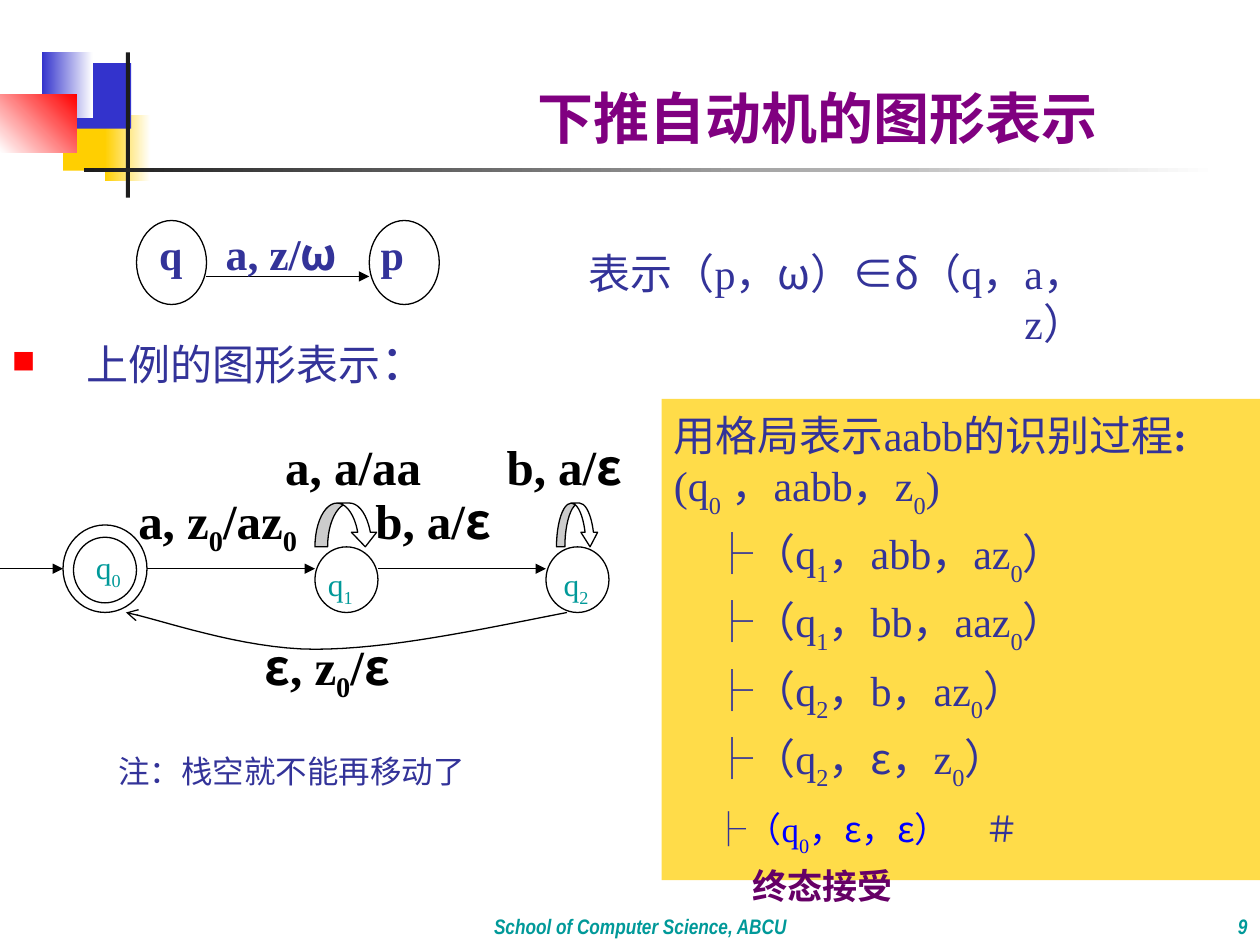
from dataclasses import dataclass
from itertools import groupby

from lxml import etree
from pptx import Presentation
from pptx.dml.color import RGBColor
from pptx.enum.shapes import MSO_CONNECTOR, MSO_SHAPE
from pptx.enum.text import MSO_ANCHOR, PP_ALIGN
from pptx.oxml.ns import qn
from pptx.util import Pt

RECT, OVAL, LOOP = MSO_SHAPE.RECTANGLE, MSO_SHAPE.OVAL, MSO_SHAPE.CURVED_DOWN_ARROW
LEFT, CENTER, RIGHT = PP_ALIGN.LEFT, PP_ALIGN.CENTER, PP_ALIGN.RIGHT
TOP, BOTTOM = MSO_ANCHOR.TOP, MSO_ANCHOR.BOTTOM
TIMES, NOTO, NARROW = "Times New Roman", "Noto Sans CJK SC", "Arial Narrow"
INDIGO, TEAL, BLACK, WHITE = "333399", "009999", "000000", "FFFFFF"
GOLD, BLUE, RED, DARK = "FFCF01", "3333CC", "FF0000", "1C1C1C"


@dataclass
class Span:
    text: str
    size: float = 24
    color: str = INDIGO
    bold: bool = False
    latin: str = TIMES
    italic: bool = False
    drop: int = -25


@dataclass
class Label:
    left: float
    top: float
    width: float
    height: float
    spans: list[Span]
    align: PP_ALIGN = LEFT
    anchor: MSO_ANCHOR = TOP


@dataclass
class Block:
    left: float
    top: float
    width: float
    height: float
    colors: tuple[str, ...]
    angle: float = 0


@dataclass
class Outline:
    kind: MSO_SHAPE
    left: float
    top: float
    width: float
    height: float
    adjustments: tuple[float, ...] = ()


@dataclass
class Row:
    spans: list[Span]
    indent: float = 21.5
    before: float = 5
    pitch: float = 0


def rgb(value: str) -> RGBColor:
    return RGBColor.from_string(value)


def write_run(paragraph, span: Span, text: str, font_name: str, lowered: bool) -> None:
    run = paragraph.add_run()
    run.text = text
    font = run.font
    font.name, font.size = font_name, Pt(span.size)
    font.bold, font.italic = span.bold, span.italic
    font.color.rgb = rgb(span.color)
    properties = run._r.get_or_add_rPr()
    properties.find(qn("a:latin")).addnext(etree.Element(qn("a:ea"), typeface=font_name))
    if lowered:
        properties.set("baseline", str(span.drop * 1000))


def write_span(paragraph, span: Span) -> None:
    for index, part in enumerate(span.text.split("_")):
        if index:
            write_run(paragraph, span, part[0], span.latin, True)
            part = part[1:]
        for plain, letters in groupby(part, key=str.isascii):
            write_run(paragraph, span, "".join(letters), span.latin if plain else NOTO, False)


def add_label(slide, label: Label):
    frame = slide.shapes.add_textbox(
        Pt(label.left), Pt(label.top), Pt(label.width), Pt(label.height)).text_frame
    frame.word_wrap = True
    frame.vertical_anchor = label.anchor
    frame.margin_left = frame.margin_right = frame.margin_top = frame.margin_bottom = 0
    paragraph = frame.paragraphs[0]
    paragraph.alignment = label.align
    for span in label.spans:
        write_span(paragraph, span)
    return paragraph


def add_block(slide, block: Block):
    shape = slide.shapes.add_shape(
        RECT, Pt(block.left), Pt(block.top), Pt(block.width), Pt(block.height))
    shape.shadow.inherit = False
    shape.line.fill.background()
    if len(block.colors) == 1:
        shape.fill.solid()
        shape.fill.fore_color.rgb = rgb(block.colors[0])
    else:
        shape.fill.gradient()
        shape.fill.gradient_angle = block.angle
        for stop, color, position in zip(shape.fill.gradient_stops, block.colors, (0, 1)):
            stop.color.rgb = rgb(color)
            stop.position = position
    return shape


def add_outline(slide, outline: Outline) -> None:
    shape = slide.shapes.add_shape(
        outline.kind, Pt(outline.left), Pt(outline.top), Pt(outline.width), Pt(outline.height))
    shape.shadow.inherit = False
    shape.fill.solid()
    shape.fill.fore_color.rgb = rgb(WHITE)
    style_line(shape.line)
    for index, value in enumerate(outline.adjustments):
        shape.adjustments[index] = value


def style_line(line, arrowhead: str = "") -> None:
    line.color.rgb = rgb(BLACK)
    line.width = Pt(0.75)
    if arrowhead:
        etree.SubElement(line._get_or_add_ln(), qn("a:tailEnd"), type=arrowhead)


def add_arrow(slide, start: float, end: float, y: float) -> None:
    arrow = slide.shapes.add_connector(MSO_CONNECTOR.STRAIGHT, Pt(start), Pt(y), Pt(end), Pt(y))
    style_line(arrow.line, "triangle")
    etree.SubElement(arrow._element.spPr, qn("a:effectLst"))


def bezier(points, t: float) -> tuple[int, int]:
    weights = ((1 - t) ** 3, 3 * t * (1 - t) ** 2, 3 * t * t * (1 - t), t ** 3)
    return tuple(Pt(sum(w * p[axis] for w, p in zip(weights, points))) for axis in (0, 1))


def add_return_curve(slide) -> None:
    curves = [((324, 350), (273, 360), (222, 371), (180, 371)),
              ((180, 371), (138, 371), (90, 353.5), (72, 350))]
    steps = 16
    points = [bezier(curve, step / steps) for curve in curves for step in range(1, steps + 1)]
    builder = slide.shapes.build_freeform(*bezier(curves[0], 0))
    builder.add_line_segments(points, close=False)
    curve = builder.convert_to_shape()
    curve.shadow.inherit = False
    curve.fill.background()
    style_line(curve.line, "arrow")


def edge(text: str) -> list[Span]:
    return [Span(text, 28, BLACK, True)]


def state(text: str) -> list[Span]:
    return [Span(text, 18, TEAL)]


def footer(text: str) -> list[Span]:
    return [Span(text, 12, TEAL, True, NARROW, True)]


BLOCKS = [
    Block(36, 60, 34.5, 37.5, (GOLD,)), Block(60, 66, 26, 37.5, (GOLD, WHITE)),
    Block(42, 36, 33, 37.5, (BLUE,)), Block(24, 30, 29, 37.5, (BLUE, WHITE)),
    Block(0, 54, 44, 33, (WHITE, RED), 45),
    Block(72, 30, 2.2, 83, (DARK,)), Block(48, 96, 648, 2.2, (DARK, WHITE)),
]
OUTLINES = [
    *[Outline(OVAL, left, 126, 40, 48) for left in (78, 211)],
    Outline(OVAL, 36, 300, 48, 50),
    Outline(OVAL, 42, 307, 36, 37.5),
    *[Outline(OVAL, left, 312.5, 36, 37.5) for left in (180, 312)],
    Outline(LOOP, 180, 287.5, 36, 25, (0.289, 0.578, 0.333)),
    Outline(LOOP, 318, 287.5, 24, 25, (0.2, 0.4, 0.346)),
]
ARROWS = [(118, 211, 158), (0, 36, 325), (84, 180, 325), (216, 312, 325)]
LABELS = [
    Label(600, 504, 112.8, 32.4, footer("9"), RIGHT, BOTTOM),
    Label(114, 504, 504, 32.4, footer("School of Computer Science, ABCU"), CENTER, BOTTOM),
    Label(91, 130.7, 20, 30, [Span("q", bold=True)]),
    Label(129, 129.6, 80, 36, [Span("a, z/ω", 25, bold=True)]),
    Label(217.5, 130.7, 20, 30, [Span("p", bold=True)]),
    Label(305, 141.3, 315, 70, [Span("表示（p，ω）∈δ（q，a，z）")], RIGHT),
    Label(67.5, 430, 215, 27, [Span("注：栈空就不能再移动了", 18)]),
    Label(79, 280.3, 110, 36, edge("a, z_0/az_0")),
    Label(214.5, 280.3, 80, 42, edge("b, a/ε")),
    Label(163, 249.3, 100, 36, edge("a, a/aa")),
    Label(289.5, 249.3, 80, 42, edge("b, a/ε")),
    Label(151, 363.8, 100, 42, edge("ε, z_0/ε")),
    Label(39, 313.2, 30, 22, state("q_0"), RIGHT),
    Label(171.6, 323, 30, 22, state("q_1"), RIGHT),
    Label(306.3, 323, 30, 22, state("q_2"), RIGHT),
]
STEPS = ["├（q_1，abb，az_0）", "├（q_1，bb，aaz_0）", "├（q_2，b，az_0）", "├（q_2，ε，z_0）"]
ROWS = [
    Row([Span("用格局表示aabb的识别过程"), Span(":", bold=True)], 0, 0, 31),
    Row([Span("(q_0 ，aabb，z_0)", drop=-30)], 0, 5, 29),
    *[Row([Span(step, drop=-30)]) for step in STEPS],
    Row([Span("├", 20), Span("（q_0，ε，ε）", 20, "0000FF", drop=-30), Span("　＃", 20)], before=9),
    Row([Span("终态接受", 20, "660066", True)], 45, 4),
]


def add_heading(slide) -> None:
    heading = add_label(slide, Label(7.2, 189.4, 574, 42, [
        Span("上例的图形表示"), Span("：", 28)]))
    properties = heading._p.get_or_add_pPr()
    properties.set("marL", str(Pt(42)))
    properties.set("indent", str(-Pt(42)))
    color = etree.SubElement(properties, qn("a:buClr"))
    etree.SubElement(color, qn("a:srgbClr"), val=RED)
    etree.SubElement(properties, qn("a:buSzPct"), val="55000")
    etree.SubElement(properties, qn("a:buFont"), typeface=NOTO)
    etree.SubElement(properties, qn("a:buChar"), char="■")


def add_derivation(slide) -> None:
    frame = add_block(slide, Block(378, 228, 342, 275, ("FFDC49",))).text_frame
    frame.word_wrap = True
    frame.vertical_anchor = TOP
    for index, row in enumerate(ROWS):
        paragraph = frame.add_paragraph() if index else frame.paragraphs[0]
        paragraph.alignment = LEFT
        paragraph.space_before = Pt(row.before)
        if row.pitch:
            paragraph.line_spacing = Pt(row.pitch)
        paragraph._p.get_or_add_pPr().set("marL", str(Pt(row.indent)))
        for span in row.spans:
            write_span(paragraph, span)


def add_title(slide) -> None:
    title = slide.shapes.title
    title.left, title.top, title.width, title.height = Pt(300), Pt(24), Pt(392), Pt(66)
    title.text_frame.vertical_anchor = BOTTOM
    paragraph = title.text_frame.paragraphs[0]
    paragraph.alignment = LEFT
    write_span(paragraph, Span("下推自动机的图形表示", 32, "800080", True))


def main() -> None:
    deck = Presentation()
    deck.slide_width, deck.slide_height = Pt(720), Pt(540)
    slide = deck.slides.add_slide(deck.slide_layouts[5])
    for block in BLOCKS:
        add_block(slide, block)
    add_title(slide)
    add_heading(slide)
    for outline in OUTLINES:
        add_outline(slide, outline)
    for arrow in ARROWS:
        add_arrow(slide, *arrow)
    add_return_curve(slide)
    for label in LABELS:
        add_label(slide, label)
    add_derivation(slide)
    deck.save("out.pptx")


if __name__ == "__main__":
    main()
